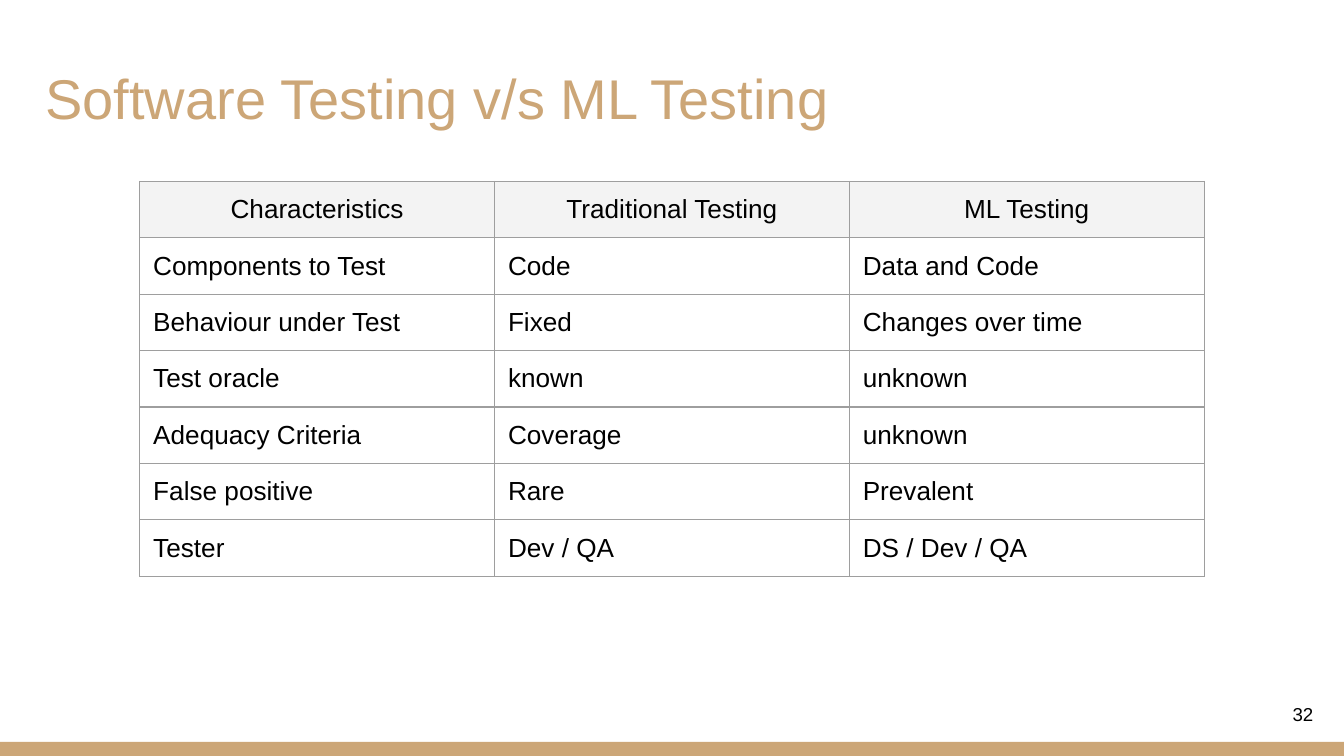
"""Build a slide with a table comparing software testing and ML testing."""
import lxml.etree
import pptx
import pptx.dml.color
import pptx.enum.shapes
import pptx.enum.text
import pptx.oxml.ns
import pptx.util

Inches = pptx.util.Inches
ALIGN = pptx.enum.text.PP_ALIGN
ANCHOR = pptx.enum.text.MSO_ANCHOR

TITLE = "Software Testing v/s ML Testing"
PAGE = "32"
ROWS = [
    ("Characteristics", "Traditional Testing", "ML Testing"),
    ("Components to Test", "Code", "Data and Code"),
    ("Behaviour under Test", "Fixed", "Changes over time"),
    ("Test oracle", "known", "unknown"),
    ("Adequacy Criteria", "Coverage", "unknown"),
    ("False positive", "Rare", "Prevalent"),
    ("Tester", "Dev / QA", "DS / Dev / QA"),
]
TAN, BLACK, WHITE, HEADER, GRID = "CCA677", "000000", "FFFFFF", "F3F3F3", "9E9E9E"
WIDTH = 10
HEIGHT = WIDTH * 9 / 16
COL_W, ROW_H, PAD = 2.64, 0.42, 0.1


def rgb(color):
    return pptx.dml.color.RGBColor.from_string(color)


def write(tf, text, size=14, color=BLACK, align=ALIGN.LEFT):
    p = tf.paragraphs[0]
    p.alignment = align
    r = p.add_run()
    r.text = text
    r.font.name = "Arial"
    r.font.size = pptx.util.Pt(size)
    r.font.color.rgb = rgb(color)


def pad(box):
    box.margin_left = box.margin_right = Inches(PAD)
    box.margin_top = box.margin_bottom = Inches(PAD)


def add_text(s, text, place, anchor, **fmt):
    tf = s.shapes.add_textbox(*map(Inches, place)).text_frame
    tf.word_wrap = True
    tf.vertical_anchor = anchor
    pad(tf)
    write(tf, text, **fmt)


def add_borders(cell):
    qn = pptx.oxml.ns.qn
    tc_pr = cell._tc.get_or_add_tcPr()
    for i, side in enumerate(("a:lnL", "a:lnR", "a:lnT", "a:lnB")):
        ln = lxml.etree.Element(qn(side), w=str(pptx.util.Pt(0.75)))
        fill = lxml.etree.SubElement(ln, qn("a:solidFill"))
        lxml.etree.SubElement(fill, qn("a:srgbClr"), val=GRID)
        tc_pr.insert(i, ln)


def add_table(s, rows, left, top):
    n_rows, n_cols = len(rows), len(rows[0])
    size = Inches(COL_W * n_cols), Inches(ROW_H * n_rows)
    table = s.shapes.add_table(n_rows, n_cols, Inches(left), Inches(top), *size).table
    table.horz_banding = False
    for i, row in enumerate(rows):
        for j, text in enumerate(row):
            cell = table.cell(i, j)
            pad(cell)
            cell.fill.solid()
            cell.fill.fore_color.rgb = rgb(WHITE if i else HEADER)
            write(cell.text_frame, text, align=ALIGN.LEFT if i else ALIGN.CENTER)
            add_borders(cell)


def main():
    prs = pptx.Presentation()
    prs.slide_width, prs.slide_height = Inches(WIDTH), Inches(HEIGHT)
    s = prs.slides.add_slide(prs.slide_layouts[6])

    rect = pptx.enum.shapes.MSO_SHAPE.RECTANGLE
    bar = s.shapes.add_shape(rect, 0, Inches(5.52), Inches(WIDTH), Inches(0.11))
    bar.shadow.inherit = False
    bar.fill.solid()
    bar.fill.fore_color.rgb = rgb(TAN)
    bar.line.fill.background()

    add_table(s, ROWS, 1.04, 1.35)
    add_text(s, TITLE, (0.24, 0.16, 9.32, 0.91), ANCHOR.BOTTOM, size=30, color=TAN)
    add_text(s, PAGE, (9.27, 5.1, 0.6, 0.43), ANCHOR.MIDDLE, size=10, align=ALIGN.RIGHT)
    prs.save("out.pptx")


if __name__ == "__main__":
    main()
